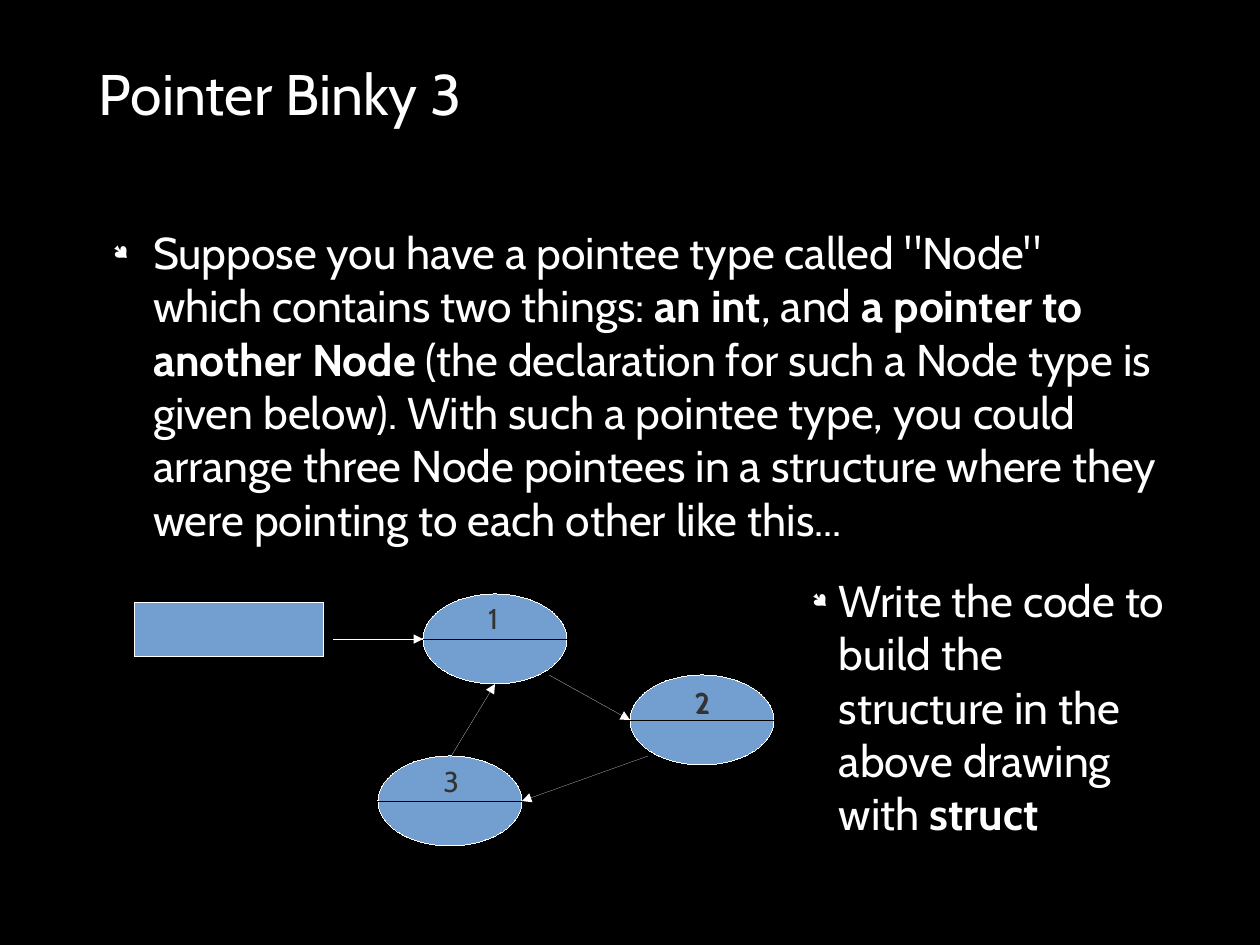
import pptx
import pptx.util
import pptx.dml.color
import pptx.enum.shapes
import pptx.enum.text
import pptx.oxml
import pptx.oxml.ns
import lxml.etree

PX = 8000
SHAPE = pptx.enum.shapes.MSO_SHAPE
NS = pptx.oxml.ns.nsdecls("a")
qn = pptx.oxml.ns.qn


def rgb(value):
    return pptx.dml.color.RGBColor.from_string(value)


def write(tf, runs, size, color, **formats):
    p = tf.paragraphs[0]
    for name, value in formats.items():
        setattr(p, name, value)
    for text, bold in runs:
        r = p.add_run()
        r.text = text
        for name, value in {"name": "Cabin", "size": pptx.util.Pt(size), "bold": bold}.items():
            setattr(r.font, name, value)
        r.font.color.rgb = rgb(color)
    return p


prs = pptx.Presentation()
prs.slide_width, prs.slide_height = 1260 * PX, 945 * PX
s = prs.slides.add_slide(prs.slide_layouts[1])
s.background.fill.solid()
s.background.fill.fore_color.rgb = rgb("000000")

title, body = s.placeholders
task = s.shapes.add_textbox(0, 0, PX, PX)
boxes = [
    (title, (99, 45, 1058, 96), "MIDDLE", (0, 0)),
    (body, (99, 225, 1058, 544), "TOP", (0, 0)),
    (task, (801, 567, 378, 313), "TOP", (11, 6)),
]
for sp, box, anchor, (inset_x, inset_y) in boxes:
    sp.left, sp.top, sp.width, sp.height = [v * PX for v in box]
    formats = {
        "word_wrap": True,
        "auto_size": pptx.enum.text.MSO_AUTO_SIZE.NONE,
        "vertical_anchor": pptx.enum.text.MSO_ANCHOR[anchor],
        "margin_left": inset_x * PX,
        "margin_right": inset_x * PX,
        "margin_top": inset_y * PX,
        "margin_bottom": inset_y * PX,
    }
    for name, value in formats.items():
        setattr(sp.text_frame, name, value)

write(title.text_frame, [("Pointer Binky 3", False)], 36, "FFFFFF",
      alignment=pptx.enum.text.PP_ALIGN.LEFT)

lists = [
    (body, 54, -40, 12.4, [
        ('Suppose you have a pointee type called "Node" which contains two things: ', False),
        ("an int", True),
        (", and ", False),
        ("a pointer to another Node", True),
        (" (the declaration for such a Node type is given below). With such a pointee type, "
         "you could arrange three Node pointees in a structure where they were pointing to "
         "each other like this...", False),
    ]),
    (task, 27, -27, 0, [
        ("Write the code to build the structure in the above drawing with ", False),
        ("struct", True),
    ]),
]
for sp, margin, indent, after, runs in lists:
    p = write(sp.text_frame, runs, 28, "FFFFFF",
              space_before=pptx.util.Pt(0), space_after=pptx.util.Pt(after))
    pPr = p._p.get_or_add_pPr()
    pPr.set("marL", str(margin * PX))
    pPr.set("indent", str(indent * PX))
    for xml in (
        f'<a:buClr {NS}><a:srgbClr val="FFFFFF"/></a:buClr>',
        f'<a:buSzPct {NS} val="45000"/>',
        f'<a:buFont {NS} typeface="Wingdings" charset="2"/>',
        f'<a:buChar {NS} char="●"/>',
    ):
        pPr.append(pptx.oxml.parse_xml(xml))

NODE_W, NODE_H = 144, 90
nodes = [(423, 594), (630, 675), (378, 756)]
shapes = [(SHAPE.RECTANGLE, 135, 603, 189, 54)]
shapes += [(SHAPE.OVAL, x, y, NODE_W, NODE_H) for x, y in nodes]
for kind, *box in shapes:
    sp = s.shapes.add_shape(kind, *[v * PX for v in box])
    sp.shadow.inherit = False
    sp.fill.solid()
    sp.fill.fore_color.rgb = rgb("729FCF")
    sp.line.color.rgb = rgb("FFFFFF")
    sp.line._get_or_add_ln().set("w", "0")

lines = [(x, y + NODE_H // 2, x + NODE_W, y + NODE_H // 2, "000000", False) for x, y in nodes]
lines += [
    (549, 675, 630, 720, "FFFFFF", True),
    (648, 756, 522, 801, "FFFFFF", True),
    (450, 758, 495, 684, "FFFFFF", True),
    (333, 639, 423, 639, "FFFFFF", True),
]
for *ends, color, arrow in lines:
    sp = s.shapes.add_connector(pptx.enum.shapes.MSO_CONNECTOR.STRAIGHT, *[v * PX for v in ends])
    sp.line.color.rgb = rgb(color)
    ln = sp.line._get_or_add_ln()
    ln.set("w", "0")
    if arrow:
        lxml.etree.SubElement(ln, qn("a:tailEnd"), type="triangle")
    lxml.etree.SubElement(sp._element.spPr, qn("a:effectLst"))

labels = [("1", 477, 595), ("2", 683, 679), ("2", 684, 680), ("3", 432, 758)]
for label, x, y in labels:
    sp = s.shapes.add_textbox(x * PX, y * PX, 39 * PX, 50 * PX)
    sp.text_frame.word_wrap = False
    write(sp.text_frame, [(label, False)], 18, "333333")

prs.save("out.pptx")
